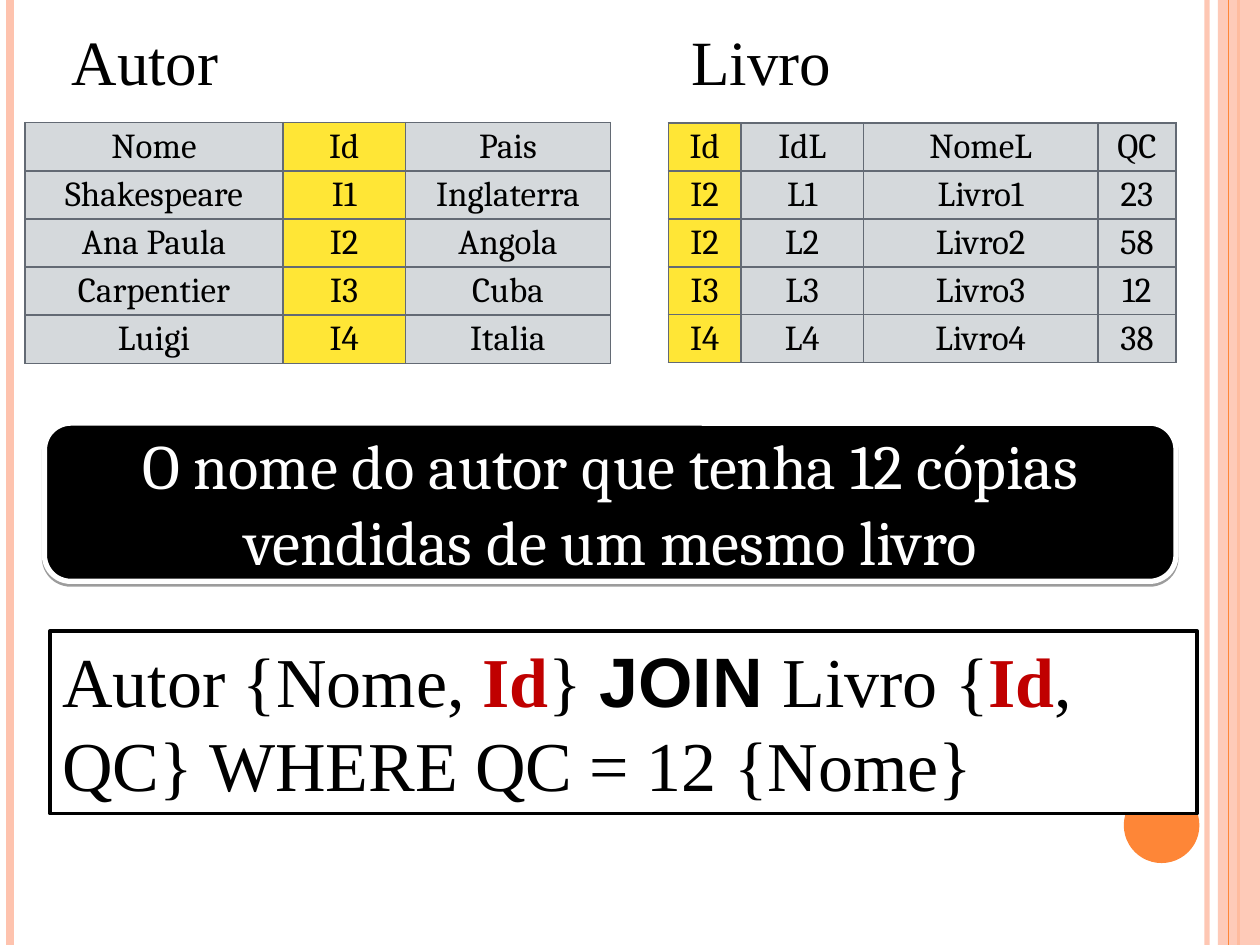
import pptx
import pptx.dml.color
import pptx.enum.shapes
import pptx.enum.text
import pptx.oxml
import pptx.oxml.ns
import pptx.util
from lxml import etree

Pt = pptx.util.Pt
SHAPES = pptx.enum.shapes.MSO_SHAPE
ALIGN = pptx.enum.text.PP_ALIGN
ANCHOR = pptx.enum.text.MSO_ANCHOR
qn = pptx.oxml.ns.qn

WIDTH, HEIGHT = 720, 540
COLORS = {
    "black": "000000", "white": "FFFFFF", "red": "C00000", "peach": "FEC3AE",
    "orange": "FE8637", "yellow": "FFE636", "gray": "D5D9DC", "border": "636A74",
}

# Content: lengths in points
STRIPES = [  # x, color, line width, opacity
    (689.8, "peach", 3, 93),
    (5.8, "peach", 4.5, 100),
    (707.8, "orange", 1.5, 100),
    (702, "orange", 0.75, 100),
]
TABLES = [
    {
        "title": "Autor", "title_box": (33.8, 9.4, 133.2, 51.1),
        "left": 14.2, "top": 70.1, "row_height": 27.5,
        "columns": (147.6, 69.8, 117.4), "key": 1,
        "rows": [
            ("Nome", "Id", "Pais"),
            ("Shakespeare", "I1", "Inglaterra"),
            ("Ana Paula", "I2", "Angola"),
            ("Carpentier", "I3", "Cuba"),
            ("Luigi", "I4", "Italia"),
        ],
    },
    {
        "title": "Livro", "title_box": (388.1, 9.4, 136.1, 51.1),
        "left": 381.9, "top": 70.4, "row_height": 27.36,
        "columns": (41.5, 70, 134, 44.6), "key": 0,
        "rows": [
            ("Id", "IdL", "NomeL", "QC"),
            ("I2", "L1", "Livro1", "23"),
            ("I2", "L2", "Livro2", "58"),
            ("I3", "L3", "Livro3", "12"),
            ("I4", "L4", "Livro4", "38"),
        ],
    },
]
QUESTION = "O nome do autor que tenha 12 cópias vendidas de um mesmo livro"
PLAIN = {"name": "Times New Roman", "size": Pt(40), "bold": False}
KEY = {**PLAIN, "bold": True, "color": "red"}
JOIN = {**PLAIN, "name": "Arial", "bold": True}
QUERY = [
    ("Autor {Nome, ", PLAIN), ("Id", KEY), ("} ", PLAIN), ("JOIN ", JOIN),
    ("Livro {", PLAIN), ("Id", KEY), (", QC} WHERE QC = 12 {Nome}", PLAIN),
]
TITLE = {"name": "Times New Roman", "size": Pt(36)}
CELL = {"name": "Cambria", "size": Pt(20), "bold": False}
BANNER = {"name": "Cambria", "size": Pt(36), "color": "white"}


def rgb(name):
    return pptx.dml.color.RGBColor.from_string(COLORS[name])


def set_opacity(parent, percent):
    color = next(parent.iter(qn("a:srgbClr")))
    etree.SubElement(color, qn("a:alpha"), val=str(percent * 1000))


def add_run(paragraph, text, style):
    run = paragraph.add_run()
    run.text = text
    run.font.color.rgb = rgb(style.get("color", "black"))
    for name, value in style.items():
        if name != "color":
            setattr(run.font, name, value)


def add_shape(slide, kind, box, fill, line=None, line_width=0):
    shape = slide.shapes.add_shape(kind, *map(Pt, box))
    shape.shadow.inherit = False
    shape.fill.solid()
    shape.fill.fore_color.rgb = rgb(fill)
    if line:
        shape.line.color.rgb = rgb(line)
        shape.line.width = Pt(line_width)
    else:
        shape.line.fill.background()
    return shape


def write(shape, runs, alignment=ALIGN.LEFT, anchor=ANCHOR.TOP):
    frame = shape.text_frame
    frame.word_wrap = True
    frame.vertical_anchor = anchor
    paragraph = frame.paragraphs[0]
    paragraph.alignment = alignment
    for text, style in runs:
        add_run(paragraph, text, style)


def add_stripe(slide, x, color, width, opacity):
    stripe = slide.shapes.add_connector(
        pptx.enum.shapes.MSO_CONNECTOR.STRAIGHT, Pt(x), Pt(0), Pt(x), Pt(HEIGHT))
    stripe.line.color.rgb = rgb(color)
    stripe.line.width = Pt(width)
    properties = stripe.element.spPr
    if opacity < 100:
        set_opacity(properties, opacity)
    etree.SubElement(properties, qn("a:effectLst"))


def format_cell(cell, text, fill):
    margins = {"margin_left": 3.6, "margin_top": 4.3, "margin_right": 3.6, "margin_bottom": 0}
    for name, value in margins.items():
        setattr(cell, name, Pt(value))
    paragraph = cell.text_frame.paragraphs[0]
    paragraph.alignment = ALIGN.CENTER
    paragraph.line_spacing = 0.87
    add_run(paragraph, text, CELL)
    # Borders come before the fill in the cell properties
    properties = cell._tc.get_or_add_tcPr()
    for side in ("a:lnL", "a:lnR", "a:lnT", "a:lnB"):
        border = etree.SubElement(properties, qn(side), w=str(Pt(1)))
        solid = etree.SubElement(border, qn("a:solidFill"))
        etree.SubElement(solid, qn("a:srgbClr"), val=COLORS["border"])
    cell.fill.solid()
    cell.fill.fore_color.rgb = rgb(fill)


def add_table(slide, data):
    rows, columns = data["rows"], data["columns"]
    height = data["row_height"] * len(rows)
    table = slide.shapes.add_table(
        len(rows), len(columns), Pt(data["left"]), Pt(data["top"]),
        Pt(sum(columns)), Pt(height)).table
    for column, width in zip(table.columns, columns):
        column.width = Pt(width)
    for row_index, values in enumerate(rows):
        table.rows[row_index].height = Pt(data["row_height"])
        for column_index, text in enumerate(values):
            fill = "yellow" if column_index == data["key"] else "gray"
            format_cell(table.cell(row_index, column_index), text, fill)


def main():
    presentation = pptx.Presentation()
    presentation.slide_width, presentation.slide_height = Pt(WIDTH), Pt(HEIGHT)
    slide = presentation.slides.add_slide(presentation.slide_layouts[6])

    # Side decoration
    for stripe in STRIPES[:-1]:
        add_stripe(slide, *stripe)
    band = add_shape(slide, SHAPES.RECTANGLE, (696, 0, 24, HEIGHT), "peach")
    set_opacity(band.element.spPr, 87)
    add_stripe(slide, *STRIPES[-1])
    add_shape(slide, SHAPES.OVAL, (642.2, 450, 43.2, 43.2), "orange")

    # Titled tables
    for data in TABLES:
        add_table(slide, data)
        title = slide.shapes.add_textbox(*map(Pt, data["title_box"]))
        write(title, [(data["title"], TITLE)])

    # Query
    query = add_shape(slide, SHAPES.RECTANGLE, (28.6, 360.6, 655.4, 104.4), "white", "black", 2)
    write(query, QUERY)

    # Question banner with a hard shadow below
    banner = add_shape(slide, SHAPES.ROUNDED_RECTANGLE, (25.4, 241.8, 646.6, 90.4),
                       "black", "white", 3)
    write(banner, [(QUESTION, BANNER)], ALIGN.CENTER, ANCHOR.MIDDLE)
    effects = banner.element.spPr.find(qn("a:effectLst"))
    shadow = etree.SubElement(effects, qn("a:outerShdw"), blurRad="0", dist=str(Pt(1.6)),
                              dir="5400000", rotWithShape="0")
    etree.SubElement(shadow, qn("a:srgbClr"), val=COLORS["black"])
    set_opacity(shadow, 38)

    presentation.save("out.pptx")


if __name__ == "__main__":
    main()
